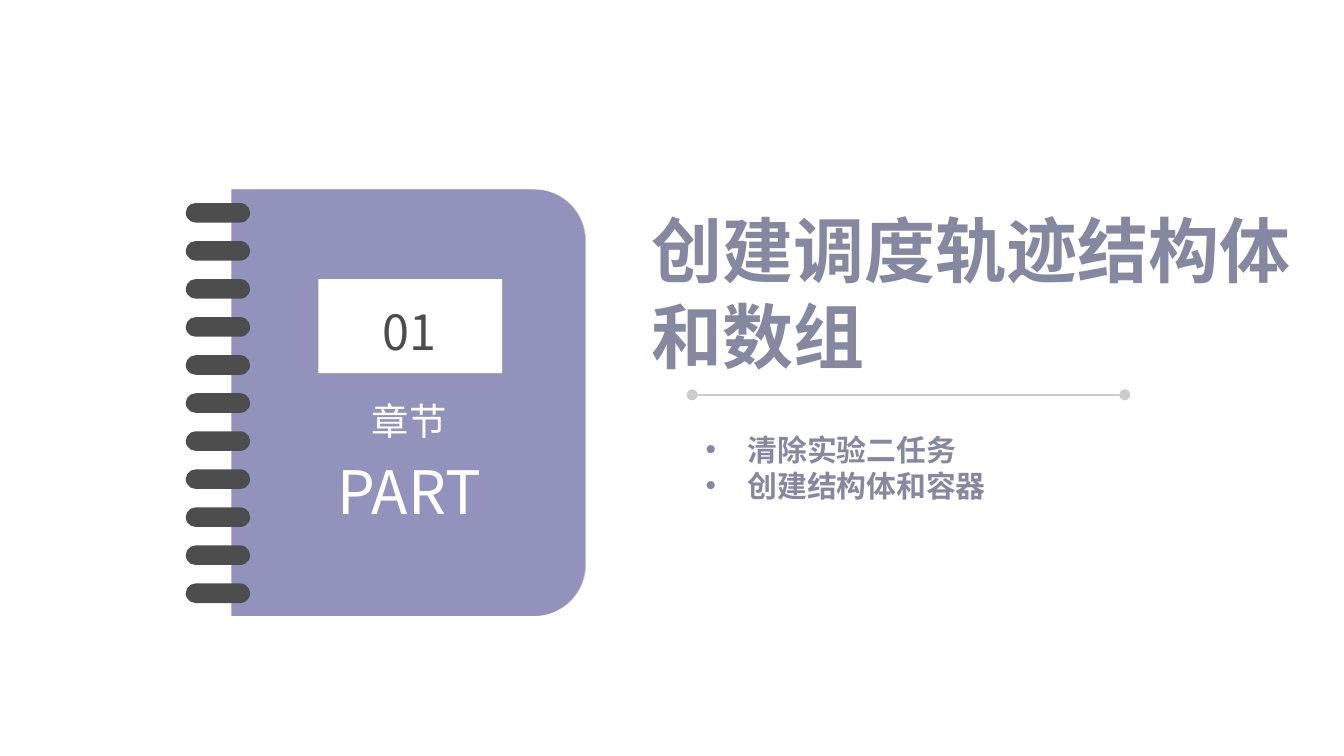
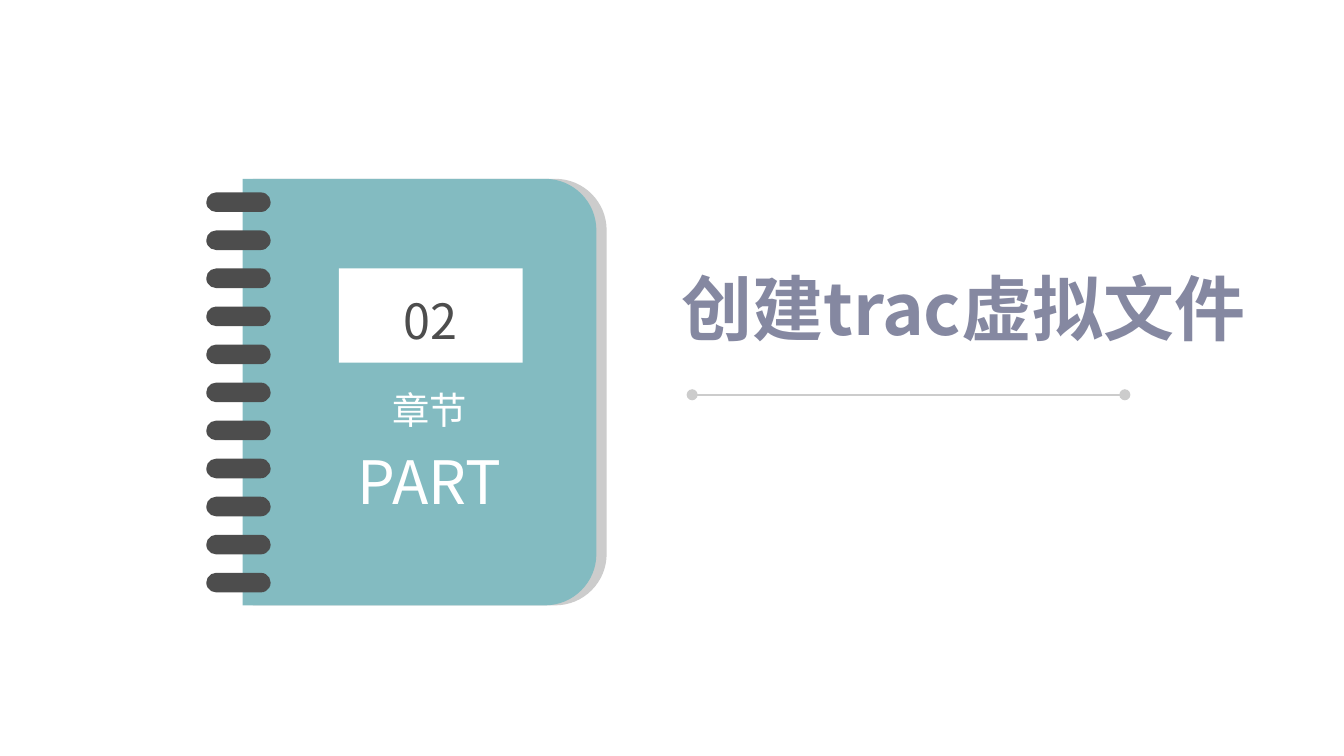
from dataclasses import dataclass
from math import cos, pi, sin

from lxml.etree import SubElement
from pptx import Presentation
from pptx.dml.color import RGBColor
from pptx.enum.shapes import MSO_CONNECTOR as Connector, MSO_SHAPE as Preset
from pptx.enum.text import MSO_ANCHOR as Anchor, MSO_AUTO_SIZE as AutoSize, PP_ALIGN as Align
from pptx.oxml.ns import qn
from pptx.shapes.base import BaseShape
from pptx.shapes.group import GroupShape
from pptx.slide import Slide
from pptx.text.text import TextFrame
from pptx.util import Pt

PURPLE = RGBColor(0x92, 0x93, 0xBD)
TEAL = RGBColor(0x83, 0xBB, 0xC1)
SLATE = RGBColor(0x85, 0x88, 0xA1)
GREY = RGBColor(0xCC, 0xCC, 0xCC)
CHARCOAL = RGBColor(0x4D, 0x4D, 0x4D)
WHITE = RGBColor(0xFF, 0xFF, 0xFF)

CJK_FONT = "Noto Sans CJK SC"
LIST_FONT = "Calibri"
LINE_RATIO = 1.21
RING_COUNT = 11
RING_PITCH = 20.38
COVER_WIDTH, COVER_HEIGHT, CORNER = 189.5, 228.5, 27.5
ARC_STEPS = 16
TITLE_AND_BODY, TITLE_ONLY = 1, 5


@dataclass(frozen=True)
class Box:
    """A rectangle in points."""

    left: float
    top: float
    width: float
    height: float

    def shifted(self, x: float, y: float) -> "Box":
        """Return the same rectangle moved by x and y."""
        return Box(self.left + x, self.top + y, self.width, self.height)

    def lengths(self) -> tuple[Pt, Pt, Pt, Pt]:
        """Return left, top, width and height as lengths."""
        return Pt(self.left), Pt(self.top), Pt(self.width), Pt(self.height)


@dataclass(frozen=True)
class Section:
    """One chapter divider with its notebook."""

    number: str
    title: str
    title_box: Box
    color: RGBColor
    book_left: float
    book_top: float
    cover_shift: float
    topics: tuple[str, ...] = ()


LABEL_BOX = Box(46, 48, 98.5, 50.5)
NUMBER_BOX = Box(48.5, 60, 93, 31.5)
PART_BOX = Box(56, 111.5, 77.5, 70.5)
RING_BOX = Box(-25, 7.3, 34.5, 10.5)
TOPICS_BOX = Box(370.8, 227.5, 231.8, 65.5)

SECTIONS = (
    Section("01", "创建调度轨迹结构体和数组", Box(349.2, 110.2, 345, 92.2), PURPLE,
            124.5, 101.5, -0.5, ("清除实验二任务", "创建结构体和容器")),
    Section("02", "创建trac虚拟文件", Box(365, 141.1, 383.8, 46.1), TEAL,
            135.5, 95.8, -5.5),
)


def write(
    frame: TextFrame,
    text: str,
    *,
    size: float,
    color: RGBColor,
    font: str = CJK_FONT,
    bold: bool = False,
    align: Align = Align.LEFT,
    before: float = 0,
    line_height: float | None = None,
    bullet_indent: float = 0,
) -> None:
    """Write one formatted paragraph at the end of a text frame."""
    para = frame.paragraphs[0] if not frame.text else frame.add_paragraph()
    para.alignment = align
    para.space_before = Pt(before)
    para.line_spacing = Pt(line_height) if line_height else 1.0
    if bullet_indent:
        properties = para._p.get_or_add_pPr()
        properties.set("marL", str(Pt(bullet_indent)))
        properties.set("indent", str(-Pt(bullet_indent)))
        SubElement(properties, qn("a:buFont")).set("typeface", "Arial")
        SubElement(properties, qn("a:buChar")).set("char", "•")
    span = para.add_run()
    span.text = text
    span.font.size = Pt(size)
    span.font.bold = bold
    span.font.color.rgb = color
    span.font.name = font
    SubElement(span._r.get_or_add_rPr(), qn("a:ea")).set("typeface", font)


def line_height(size: float) -> float:
    """Return the line height for a text size."""
    return round(size * LINE_RATIO, 1)


def prepare_frame(shape: BaseShape, inset_x: float = 0, inset_y: float = 0) -> TextFrame:
    """Make a wrapping, top-anchored text frame with the given insets."""
    frame = shape.text_frame
    frame.word_wrap = True
    frame.auto_size = AutoSize.NONE
    frame.vertical_anchor = Anchor.TOP
    frame.margin_left = frame.margin_right = Pt(inset_x)
    frame.margin_top = frame.margin_bottom = Pt(inset_y)
    return frame


def place(shape: BaseShape, box: Box) -> None:
    """Move and size a shape to a box."""
    shape.left, shape.top, shape.width, shape.height = box.lengths()


def paint(shape: BaseShape, color: RGBColor) -> None:
    """Give a shape a plain fill without line or shadow."""
    shape.shadow.inherit = False
    shape.fill.solid()
    shape.fill.fore_color.rgb = color
    shape.line.fill.background()


def add_block(book: GroupShape, preset: Preset, box: Box, color: RGBColor) -> BaseShape:
    """Add a filled preset shape to the notebook."""
    block = book.shapes.add_shape(preset, *box.lengths())
    paint(block, color)
    return block


def add_cover(book: GroupShape, left: float, top: float, color: RGBColor) -> None:
    """Add a notebook cover with rounded right corners."""
    right, bottom = left + COVER_WIDTH, top + COVER_HEIGHT
    center_x = right - CORNER
    points = []
    for center_y, start in ((top + CORNER, -pi / 2), (bottom - CORNER, 0)):
        for step in range(ARC_STEPS + 1):
            angle = start + step * pi / 2 / ARC_STEPS
            points.append((Pt(center_x + CORNER * cos(angle)), Pt(center_y + CORNER * sin(angle))))
    points.append((Pt(left), Pt(bottom)))
    outline = book.shapes.build_freeform(Pt(left), Pt(top))
    outline.add_line_segments(points, close=True)
    paint(outline.convert_to_shape(), color)


def add_book(page: Slide, section: Section) -> None:
    """Draw the ring-bound notebook with the chapter number."""
    book = page.shapes.add_group_shape()
    left, top = section.book_left, section.book_top
    add_cover(book, left, top, GREY)
    add_cover(book, left + section.cover_shift, top, section.color)
    add_block(book, Preset.RECTANGLE, LABEL_BOX.shifted(left, top), WHITE)
    for index in range(RING_COUNT):
        ring_box = RING_BOX.shifted(left, top + index * RING_PITCH)
        ring = add_block(book, Preset.ROUNDED_RECTANGLE, ring_box, CHARCOAL)
        ring.adjustments[0] = 0.5
    number = book.shapes.add_textbox(*NUMBER_BOX.shifted(left, top).lengths())
    write(prepare_frame(number), section.number, size=26, color=CHARCOAL,
          align=Align.CENTER, line_height=line_height(26))
    part = prepare_frame(book.shapes.add_textbox(*PART_BOX.shifted(left, top).lengths()))
    for text, size, before in (("章节", 20, 0), ("PART", 32, 6.4)):
        write(part, text, size=size, color=WHITE, align=Align.CENTER,
              before=before, line_height=line_height(size))


def add_divider(page: Slide) -> None:
    """Draw the thin line with round ends below the title."""
    divider = page.shapes.add_connector(
        Connector.STRAIGHT, Pt(370.8), Pt(211.5), Pt(602.6), Pt(211.5))
    divider.line.color.rgb = GREY
    divider.line.width = Pt(1)
    line = divider.line._get_or_add_ln()
    for end in ("a:headEnd", "a:tailEnd"):
        SubElement(line, qn(end)).set("type", "oval")
    SubElement(divider._element.spPr, qn("a:effectLst"))


def add_section(deck: Presentation, section: Section) -> None:
    """Add one chapter divider slide."""
    layout = deck.slide_layouts[TITLE_AND_BODY if section.topics else TITLE_ONLY]
    page = deck.slides.add_slide(layout)
    page.background.fill.solid()
    page.background.fill.fore_color.rgb = WHITE
    title = page.shapes.title
    place(title, section.title_box)
    write(prepare_frame(title), section.title, size=38, color=SLATE, bold=True,
          line_height=line_height(38))
    add_divider(page)
    add_book(page, section)
    if section.topics:
        body = page.placeholders[1]
        place(body, TOPICS_BOX)
        frame = prepare_frame(body, 7.2, 3.6)
        for topic in section.topics:
            write(frame, topic, size=16, color=SLATE, font=LIST_FONT, bold=True,
                  bullet_indent=22.5)


def main() -> None:
    """Build the deck and save it."""
    deck = Presentation()
    deck.slide_width, deck.slide_height = Pt(720), Pt(405)
    for section in SECTIONS:
        add_section(deck, section)
    deck.save("out.pptx")


if __name__ == "__main__":
    main()
